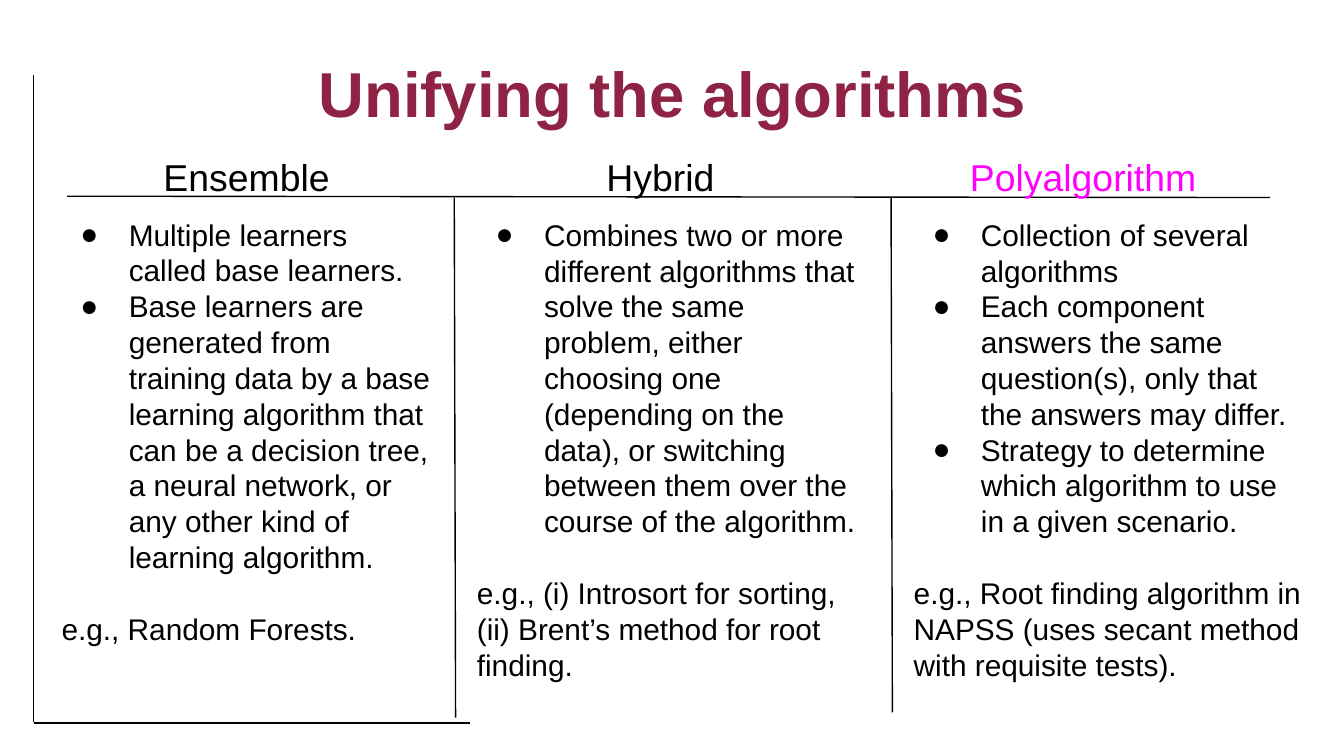
from dataclasses import dataclass

from lxml.etree import SubElement
from pptx import Presentation
from pptx.dml.color import RGBColor
from pptx.enum.shapes import MSO_CONNECTOR
from pptx.enum.text import MSO_ANCHOR, PP_ALIGN
from pptx.oxml.ns import qn
from pptx.util import Inches, Pt


@dataclass(frozen=True)
class Theme:
    font: str = "Arial"
    ink: str = "000000"
    title_color: str = "8E2344"
    accent: str = "FF00FF"
    title_size: int = 34
    heading_size: int = 20
    body_size: int = 16
    leading: float = 1.2
    rule_width: float = 0.75


THEME = Theme()

RULES = [
    (0.25, 0.56, 0.25, 5.37),
    (0.25, 5.38, 3.5, 5.38),
    (0.5, 1.46, 9.45, 1.47),
    (3.38, 1.47, 3.39, 5.34),
    (6.63, 1.47, 6.64, 5.3),
]

COLUMNS = [
    {
        "heading": "Ensemble",
        "heading_span": (0.78, 2.11),
        "color": THEME.ink,
        "body_box": (0.36, 1.51, 2.95, 3.37),
        "points": [
            "Multiple learners called base learners.",
            "Base learners are generated from training data by a base learning "
            "algorithm that can be a decision tree, a neural network, or any "
            "other kind of learning algorithm.",
        ],
        "example": "e.g., Random Forests.",
    },
    {
        "heading": "Hybrid",
        "heading_span": (3.86, 2.11),
        "color": THEME.ink,
        "body_box": (3.45, 1.51, 3.11, 3.79),
        "points": [
            "Combines two or more different algorithms that solve the same "
            "problem, either choosing one (depending on the data), or switching "
            "between them over the course of the algorithm.",
        ],
        "example": "e.g., (i) Introsort for sorting, (ii) Brent’s method for root finding.",
    },
    {
        "heading": "Polyalgorithm",
        "heading_span": (6.8, 2.52),
        "color": THEME.accent,
        "body_box": (6.7, 1.51, 3.11, 3.79),
        "points": [
            "Collection of several algorithms",
            "Each component answers the same question(s), only that the answers may differ.",
            "Strategy to determine which algorithm to use in a given scenario.",
        ],
        "example": "e.g., Root finding algorithm in NAPSS (uses secant method with requisite tests).",
    },
]


def add_rule(slide, ends):
    rule = slide.shapes.add_connector(MSO_CONNECTOR.STRAIGHT, *map(Inches, ends))
    rule.line.color.rgb = RGBColor.from_string(THEME.ink)
    rule.line.width = Pt(THEME.rule_width)
    SubElement(rule._element.spPr, qn("a:effectLst"))


def add_frame(slide, box):
    frame = slide.shapes.add_textbox(*map(Inches, box)).text_frame
    frame.word_wrap = True
    frame.vertical_anchor = MSO_ANCHOR.TOP
    frame.margin_left = frame.margin_right = Inches(0.1)
    frame.margin_top = frame.margin_bottom = Inches(0.1)
    return frame


def style(paragraph, size, color, bold=False):
    paragraph.line_spacing = Pt(size * THEME.leading)
    paragraph.font.name = THEME.font
    paragraph.font.size = Pt(size)
    paragraph.font.bold = bold
    paragraph.font.color.rgb = RGBColor.from_string(color)


def add_bullet(paragraph):
    properties = paragraph._p.get_or_add_pPr()
    properties.set("marL", str(Inches(0.5)))
    properties.set("indent", str(Inches(-0.36)))
    bullet_color = SubElement(properties, qn("a:buClr"))
    SubElement(bullet_color, qn("a:srgbClr"), val=THEME.ink)
    SubElement(properties, qn("a:buFont"), typeface=THEME.font)
    SubElement(properties, qn("a:buChar"), char="●")


def add_label(slide, box, text, size, color, bold=False):
    label = add_frame(slide, box).paragraphs[0]
    label.text = text
    label.alignment = PP_ALIGN.CENTER
    style(label, size, color, bold)


def add_body(slide, box, points, example):
    frame = add_frame(slide, box)
    for index, point in enumerate(points):
        item = frame.add_paragraph() if index else frame.paragraphs[0]
        item.text = point
        add_bullet(item)
        style(item, THEME.body_size, THEME.ink)
    closing = frame.add_paragraph()
    closing.text = example
    style(closing, THEME.body_size, THEME.ink)
    closing.space_before = Pt(THEME.body_size * THEME.leading)


def main():
    deck = Presentation()
    deck.slide_width = Inches(10)
    deck.slide_height = deck.slide_width * 9 // 16
    slide = deck.slides.add_slide(deck.slide_layouts[6])
    for ends in RULES:
        add_rule(slide, ends)
    add_label(slide, (0.69, 0.3, 8.63, 0.61), "Unifying the algorithms",
              THEME.title_size, THEME.title_color, bold=True)
    for column in COLUMNS:
        left, width = column["heading_span"]
        add_label(slide, (left, 1.05, width, 0.37), column["heading"],
                  THEME.heading_size, column["color"])
        add_body(slide, column["body_box"], column["points"], column["example"])
    deck.save("out.pptx")


if __name__ == "__main__":
    main()
